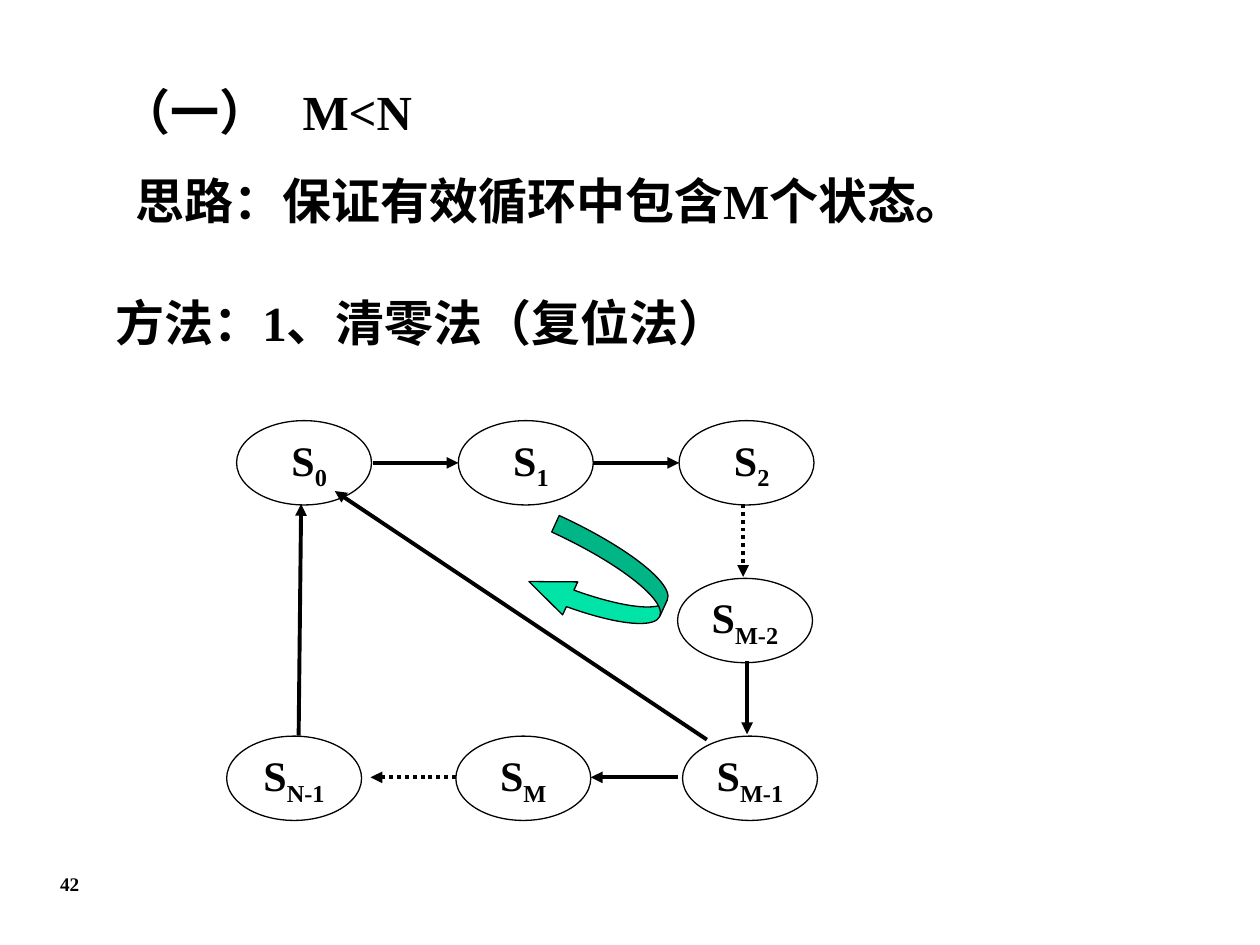
import dataclasses

import lxml.etree
import pptx
import pptx.dml.color
import pptx.enum.dml
import pptx.enum.shapes
import pptx.enum.text
import pptx.oxml.ns
import pptx.util

Cm = pptx.util.Cm
Pt = pptx.util.Pt
Align = pptx.enum.text.PP_ALIGN
Shape = pptx.enum.shapes.MSO_SHAPE


@dataclasses.dataclass(frozen=True)
class Theme:
    """Colours, font and sizes of the deck."""
    ink: pptx.dml.color.RGBColor = pptx.dml.color.RGBColor(0, 0, 0)
    paper: pptx.dml.color.RGBColor = pptx.dml.color.RGBColor(255, 255, 255)
    accent: pptx.dml.color.RGBColor = pptx.dml.color.RGBColor(0x00, 0xE4, 0xA8)
    font: str = "Times New Roman"
    heading: float = 28
    label: float = 24
    number: float = 11
    outline: float = 0.75
    arrow: float = 2.25


THEME = Theme()
NODE_WIDTH, NODE_HEIGHT, ROW_PITCH = 2.72, 1.7, 3.18
NODES = [
    ("0", 0.2, 0), ("1", 4.67, 0), ("2", 9.12, 0),
    ("M-2", 9.09, 1),
    ("M-1", 9.19, 2), ("M", 4.62, 2), ("N-1", 0, 2),
]
ARROWS = [
    ((2.95, 0.85), (4.67, 0.85), False),
    ((7.39, 0.85), (9.12, 0.85), False),
    ((10.41, 1.68), (10.41, 3.15), True),
    ((10.49, 4.85), (10.49, 6.32), False),
    ((9.09, 7.19), (7.34, 7.19), False),
    ((4.62, 7.19), (2.9, 7.19), True),
    ((1.45, 6.35), (1.5, 1.68), False),
    ((9.68, 6.43), (2.18, 1.42), False),
]


def apply(target, formats):
    """Set each named attribute on the target."""
    for name, value in formats.items():
        setattr(target, name, value)


def add_child(parent, tag, **attributes):
    """Append a drawing element and return it."""
    child = lxml.etree.SubElement(parent, pptx.oxml.ns.qn(tag))
    for name, value in attributes.items():
        child.set(name, value)
    return child


def add_span(para, text, size):
    """Add bold text in the theme font and return its span."""
    span = para.add_run()
    span.text = text
    apply(span.font, {"name": THEME.font, "size": Pt(size), "bold": True})
    span.font.color.rgb = THEME.ink
    return span


def add_text(page, left, top, width, height, text, size, tab=None, **formats):
    """Place one line of text in the given box."""
    box = page.shapes.add_textbox(Cm(left), Cm(top), Cm(width), Cm(height))
    box.text_frame.word_wrap = True
    para = box.text_frame.paragraphs[0]
    if tab:
        stops = add_child(para._p.get_or_add_pPr(), "a:tabLst")
        add_child(stops, "a:tab", pos=str(Cm(tab)), algn="l")
    apply(para, formats)
    add_span(para, text, size)


def add_outlined(page, kind, left, top, width, height, colour):
    """Place a filled shape with a thin outline."""
    shape = page.shapes.add_shape(kind, Cm(left), Cm(top), Cm(width), Cm(height))
    shape.shadow.inherit = False
    shape.fill.solid()
    shape.fill.fore_color.rgb = colour
    shape.line.color.rgb = THEME.ink
    shape.line.width = Pt(THEME.outline)
    return shape


def add_state(page, left, top, index, nudge):
    """Place one state ellipse with its subscripted name."""
    state = add_outlined(page, Shape.OVAL, left, top, NODE_WIDTH, NODE_HEIGHT, THEME.paper)
    apply(state.text_frame, {
        "word_wrap": False,
        "vertical_anchor": pptx.enum.text.MSO_ANCHOR.MIDDLE,
        "margin_left": Cm(0.25 + nudge),
    })
    para = state.text_frame.paragraphs[0]
    para.alignment = Align.CENTER
    add_span(para, "S", THEME.label)
    subscript = add_span(para, index, THEME.label)
    subscript._r.get_or_add_rPr().set("baseline", "-25000")


def add_arrow(page, left, top, start, end, dotted):
    """Draw an arrow between two points relative to a corner."""
    arrow = page.shapes.add_connector(
        pptx.enum.shapes.MSO_CONNECTOR.STRAIGHT,
        Cm(left + start[0]), Cm(top + start[1]),
        Cm(left + end[0]), Cm(top + end[1]))
    arrow.line.color.rgb = THEME.ink
    arrow.line.width = Pt(THEME.arrow)
    if dotted:
        arrow.line.dash_style = pptx.enum.dml.MSO_LINE.ROUND_DOT
    add_child(arrow.line._get_or_add_ln(), "a:tailEnd", type="triangle")
    add_child(arrow._element.spPr, "a:effectLst")


def add_headings(page, left, top):
    """Place the three lines of explanation."""
    add_text(page, left + 0.13, top, 7.67, 1.9, "（一）\tM<N", THEME.heading, tab=3.64)
    add_text(page, left + 0.41, top + 1.93, 17.32, 1.45,
             "思路：保证有效循环中包含M个状态。", THEME.heading, line_spacing=0.9)
    add_text(page, left, top + 4.25, 15.24, 1.45,
             "方法：1、清零法（复位法）", THEME.heading, alignment=Align.JUSTIFY)


def add_state_diagram(page, left, top):
    """Place the state cycle, its arrows and the turning arrow."""
    for index, across, row in NODES:
        nudge = 0.21 if row == 0 else 0
        add_state(page, left + across, top + row * ROW_PITCH, index, nudge)
    for start, end, dotted in ARROWS:
        add_arrow(page, left, top, start, end, dotted)
    turn = add_outlined(page, Shape.CURVED_LEFT_ARROW, left + 6.2, top + 2.39,
                        2.69, 1.83, THEME.accent)
    turn.rotation = 24.6
    for position, value in enumerate((0.2, 0.4, 0.49)):
        turn.adjustments[position] = value


def main():
    """Build the slide and save the deck."""
    deck = pptx.Presentation()
    apply(deck, {"slide_width": Cm(25.4), "slide_height": Cm(19.05)})
    page = deck.slides.add_slide(deck.slide_layouts[6])
    add_headings(page, 2.08, 1.52)
    add_state_diagram(page, 4.57, 8.48)
    add_text(page, 0.15, 17.45, 2.51, 0.94, "42", THEME.number, alignment=Align.CENTER)
    deck.save("out.pptx")


if __name__ == "__main__":
    main()
